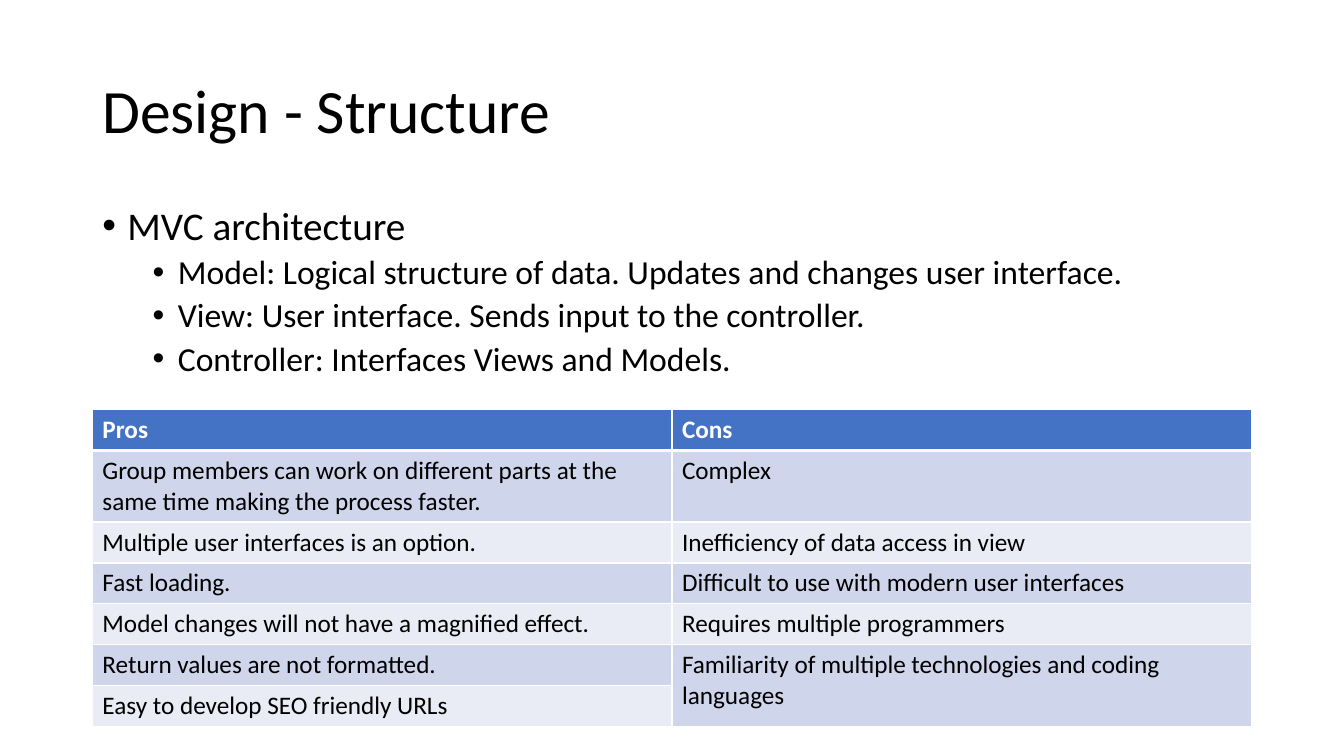
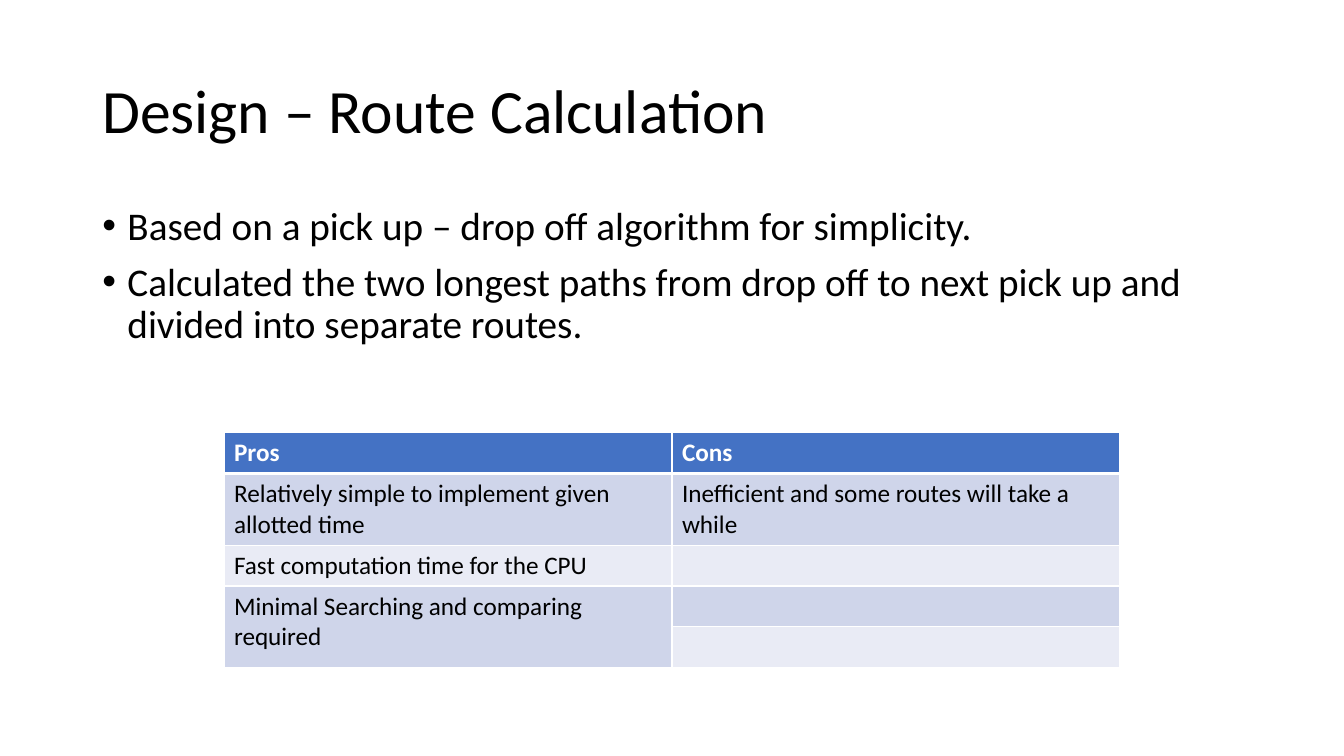
from lxml import etree
from pptx import Presentation
from pptx.dml.color import RGBColor
from pptx.enum.text import MSO_ANCHOR
from pptx.oxml.ns import qn
from pptx.util import Pt

MIDDLE = MSO_ANCHOR.MIDDLE
TOP = MSO_ANCHOR.TOP
BLACK = RGBColor(0x00, 0x00, 0x00)
WHITE = RGBColor(0xFF, 0xFF, 0xFF)
HEADER_BLUE = RGBColor(0x44, 0x72, 0xC4)
BANDS = [RGBColor(0xE9, 0xEB, 0xF5), RGBColor(0xCF, 0xD5, 0xEA)]
FONT = "Calibri"
LEFT, WIDTH = 66, 828
ROW_HEIGHT, TALL_ROW_HEIGHT = 29.2, 51.2
BULLET_LEVELS = [
    dict(size=28, before=10, indent=18),
    dict(size=24, before=5, indent=54),
]


def write(frame, text, size=18, color=BLACK, bold=False, line=1.0, before=0, indent=0):
    para = frame.paragraphs[0]
    if para.runs:
        para = frame.add_paragraph()
    para.line_spacing = line
    para.space_before = Pt(before)
    if indent:
        props = para._p.get_or_add_pPr()
        props.set("marL", str(Pt(indent)))
        props.set("indent", str(Pt(-18)))
        etree.SubElement(props, qn("a:buFont"), typeface="Arial")
        etree.SubElement(props, qn("a:buChar"), char="•")
    span = para.add_run()
    span.text = text
    span.font.name = FONT
    span.font.size = Pt(size)
    span.font.bold = bold
    span.font.color.rgb = color


def add_border(cell, side, width):
    border = etree.SubElement(cell._tc.get_or_add_tcPr(), qn("a:" + side), w=str(Pt(width)))
    fill = etree.SubElement(border, qn("a:solidFill"))
    etree.SubElement(fill, qn("a:srgbClr"), val=str(WHITE))


PAGES = [
    dict(
        title="Design - Structure",
        bullets=[
            (0, "MVC architecture"),
            (1, "Model: Logical structure of data. Updates and changes user interface."),
            (1, "View: User interface. Sends input to the controller."),
            (1, "Controller: Interfaces Views and Models."),
        ],
        table_left=66, table_top=292.5, column_width=414,
        rows=[
            ("Pros", "Cons"),
            ("Group members can work on different parts at the same time making the process faster.",
             "Complex"),
            ("Multiple user interfaces is an option.", "Inefficiency of data access in view"),
            ("Fast loading.", "Difficult to use with modern user interfaces"),
            ("Model changes will not have a magnified effect.", "Requires multiple programmers"),
            ("Return values are not formatted.",
             "Familiarity of multiple technologies and coding languages"),
            ("Easy to develop SEO friendly URLs", ""),
        ],
        merged_column=1,
    ),
    dict(
        title="Design – Route Calculation",
        bullets=[
            (0, "Based on a pick up – drop off algorithm for simplicity."),
            (0, "Calculated the two longest paths from drop off to next pick up and "
                "divided into separate routes."),
        ],
        table_left=160, table_top=309, column_width=320,
        rows=[
            ("Pros", "Cons"),
            ("Relatively simple to implement given allotted time",
             "Inefficient and some routes will take a while"),
            ("Fast computation time for the CPU", ""),
            ("Minimal Searching and comparing required", ""),
            ("", ""),
        ],
        merged_column=0,
    ),
]

deck = Presentation()
deck.slide_width, deck.slide_height = Pt(960), Pt(540)

for content in PAGES:
    page = deck.slides.add_slide(deck.slide_layouts[6])
    frames = []
    for top, height, anchor in [(28.75, 104.4, MIDDLE), (143.75, 342.6, TOP)]:
        box = page.shapes.add_textbox(Pt(LEFT), Pt(top), Pt(WIDTH), Pt(height))
        box.text_frame.word_wrap = True
        box.text_frame.vertical_anchor = anchor
        frames.append(box.text_frame)
    title_frame, body_frame = frames
    write(title_frame, content["title"], size=44, line=0.9)
    for level, text in content["bullets"]:
        write(body_frame, text, line=0.9, **BULLET_LEVELS[level])

    rows = content["rows"]
    last = len(rows) - 1
    column_width = content["column_width"]
    table = page.shapes.add_table(
        len(rows), 2, Pt(content["table_left"]), Pt(content["table_top"]),
        Pt(2 * column_width), Pt(last * ROW_HEIGHT + TALL_ROW_HEIGHT)).table
    for column in table.columns:
        column.width = Pt(column_width)
    for index, texts in enumerate(rows):
        header = index == 0
        table.rows[index].height = Pt(TALL_ROW_HEIGHT if index == 1 else ROW_HEIGHT)
        for column, text in enumerate(texts):
            cell = table.cell(index, column)
            add_border(cell, "lnL", 1)
            add_border(cell, "lnR", 1)
            add_border(cell, "lnT", 3 if index == 1 else 1)
            add_border(cell, "lnB", 3 if header else 1)
            cell.fill.solid()
            cell.fill.fore_color.rgb = HEADER_BLUE if header else BANDS[index % 2]
            if text:
                write(cell.text_frame, text, color=WHITE if header else BLACK, bold=header)
    merged = content["merged_column"]
    table.cell(last - 1, merged).merge(table.cell(last, merged))

deck.save("out.pptx")
